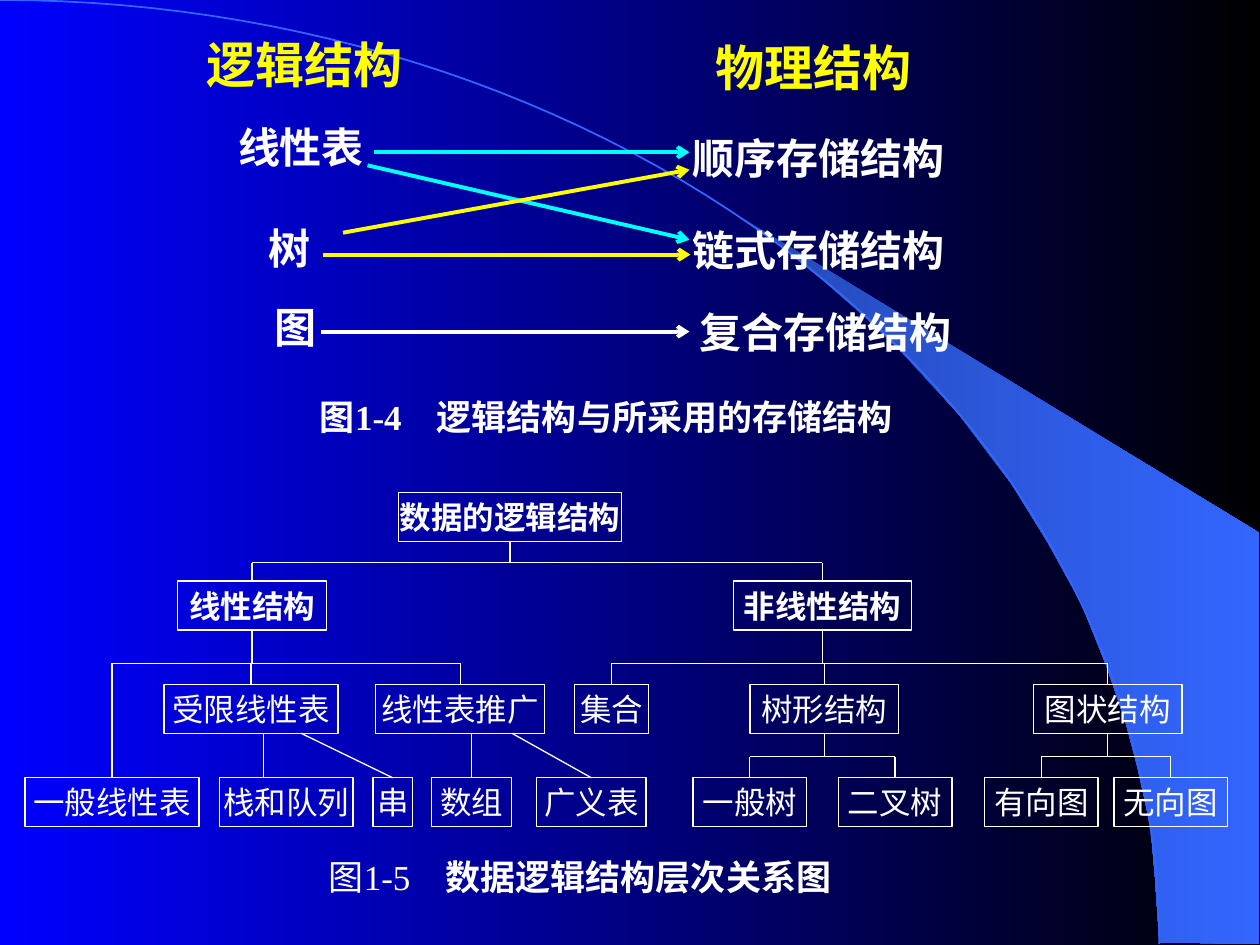
"""Build the slide on logical structures and the storage used for them."""
from math import cos, pi, sin

from lxml import etree
from pptx import Presentation
from pptx.dml.color import RGBColor
from pptx.enum import shapes, text
from pptx.oxml.ns import qn
from pptx.util import Pt

WHITE = RGBColor(0xFF, 0xFF, 0xFF)
YELLOW = RGBColor(0xFF, 0xFF, 0x00)
CYAN = RGBColor(0x00, 0xFF, 0xFF)
BLUE = RGBColor(0x00, 0x00, 0xFF)
BLACK = RGBColor(0x00, 0x00, 0x00)
NAVY = RGBColor(0x24, 0x49, 0xB6)
SKY = RGBColor(0x33, 0x66, 0xFF)
ROMAN = "Times New Roman"
SANS = "Noto Sans CJK SC"
TALL = 28

ROWS = (281.5, 332, 391, 444.5)
BOXES = [
    [("数据的逻辑结构", 291.5, 127.5)],
    [("线性结构", 144, 85), ("非线性结构", 470, 102)],
    [("受限线性表", 143.5, 99.5), ("线性表推广", 263, 96.5),
     ("集合", 349.5, 42.5), ("树形结构", 471, 85), ("图状结构", 633, 85)],
    [("一般线性表", 64, 99.5), ("栈和队列", 163.5, 76.5), ("串", 224.5, 22.5),
     ("数组", 269.5, 45.5), ("广义表", 338, 62.5), ("一般树", 428.5, 65),
     ("二叉树", 511.5, 65), ("有向图", 595, 65), ("无向图", 669, 65)],
]
FORKS = [
    ("数据的逻辑结构", 321.5, ("线性结构", "非线性结构")),
    ("线性结构", 379, ("一般线性表", "受限线性表", "线性表推广")),
    ("非线性结构", 379, ("集合", "树形结构", "图状结构")),
    ("树形结构", 432.5, ("一般树", "二叉树")),
    ("图状结构", 432.5, ("有向图", "无向图")),
]
LINKS = [
    (150.5, 419, 150.5, 444.5, None),
    (172, 419, 224.5, 444.5, "串"),
    (269.5, 419, 269.5, 444.5, "数组"),
    (292.5, 419, 338, 444.5, "广义表"),
]
LABELS = [
    ("逻辑结构", 114, 18.5, 120, 36, 28, YELLOW),
    ("物理结构", 408, 20, 114, 36, 28, YELLOW),
    ("线性表", 124, 69, 96, 30, 24, WHITE),
    ("树", 135.5, 126.5, 60, 30, 24, WHITE),
    ("图", 142, 171.5, 54, 30, 24, WHITE),
    ("顺序存储结构", 396, 72, 144, 36, 24, WHITE),
    ("链式存储结构", 396, 124.5, 144, 36, 24, WHITE),
    ("复合存储结构", 399.5, 171.5, 144, 36, 24, WHITE),
]
ARROWS = [
    (214, 87, 394, 87, CYAN),
    (210, 94.5, 394, 137, CYAN),
    (196, 133, 394, 97, YELLOW),
    (183.5, 189.5, 394, 189.5, WHITE),
    (184.5, 145.5, 394.5, 145.5, YELLOW),
]
BEAM = [
    (662.5, 538.5), (719.5, 539.5), (719.5, 304.5), (424, 124.5),
    (449.5, 143.5), (470, 160), (493, 180), (515.5, 201.5), (548.5, 237.5),
    (578, 276.5), (599, 310.5), (618, 345), (632, 380), (643, 412),
    (650, 438.5), (657.5, 472.5), (660, 501), (662.5, 538.5),
]


def grade(fill, first, last):
    """Fill with a left-to-right gradient."""
    fill.gradient()
    fill.gradient_angle = 0
    for stop, color in zip(fill.gradient_stops, (first, last)):
        stop.color.rgb = color


def trace(slide, points, close):
    """Draw an outline through the points."""
    spots = [(Pt(x), Pt(y)) for x, y in points]
    form = slide.shapes.build_freeform(*spots[0])
    form.add_line_segments(spots[1:], close=close)
    shape = form.convert_to_shape()
    shape.shadow.inherit = False
    return shape


def scene(slide):
    """Draw the backdrop, the beam and the arc."""
    grade(slide.background.fill, BLUE, BLACK)
    beam = trace(slide, BEAM, True)
    grade(beam.fill, NAVY, SKY)
    beam.line.fill.background()
    turns = [pi / 2 * step / 60 for step in range(61)]
    arc = trace(slide, [(662.5 * sin(t), 539.5 * (1 - cos(t))) for t in turns], False)
    arc.fill.background()
    arc.line.color.rgb = SKY
    arc.line.width = Pt(1)


def write(shape, runs, size, color, wrap=False, inset=(0, 0)):
    """Write runs of (words, font, bold) centred in a shape."""
    frame = shape.text_frame
    frame.word_wrap = wrap
    frame.vertical_anchor = text.MSO_ANCHOR.MIDDLE
    frame.margin_left = frame.margin_right = Pt(inset[0])
    frame.margin_top = frame.margin_bottom = Pt(inset[1])
    para = frame.paragraphs[0]
    para.alignment = text.PP_ALIGN.CENTER
    for words, face, bold in runs:
        run = para.add_run()
        run.text = words
        font = run.font
        font.name, font.size, font.bold = face, Pt(size), bold
        font.color.rgb = color
        east = etree.SubElement(run._r.get_or_add_rPr(), qn("a:ea"))
        east.set("typeface", SANS)


def label(slide, runs, spot, size, color, **style):
    """Add a text box."""
    box = slide.shapes.add_textbox(*map(Pt, spot))
    write(box, runs, size, color, **style)


def node(slide, words, mid, top, wide, bold):
    """Add an outlined box centred on mid."""
    box = slide.shapes.add_shape(
        shapes.MSO_SHAPE.RECTANGLE, Pt(mid - wide / 2), Pt(top), Pt(wide), Pt(TALL))
    box.shadow.inherit = False
    box.fill.background()
    box.line.color.rgb = WHITE
    box.line.width = Pt(0.75)
    write(box, [(words, ROMAN, bold)], 18, WHITE)
    return box


def line(slide, ends, color=WHITE, width=0.75, arrow=False):
    """Add a straight line, with an arrowhead on request."""
    link = slide.shapes.add_connector(shapes.MSO_CONNECTOR.STRAIGHT, *map(Pt, ends))
    link.line.color.rgb = color
    link.line.width = Pt(width)
    if arrow:
        etree.SubElement(link.line._get_or_add_ln(), qn("a:tailEnd")).set("type", "arrow")
    etree.SubElement(link._element.spPr, qn("a:effectLst"))
    return link


def fork(slide, root, level, kids):
    """Join a box to the boxes below it through a level bar."""
    def mid(box):
        return (box.left + box.width / 2) / Pt(1)

    stem = line(slide, (mid(root), level - 1, mid(root), level))
    stem.begin_connect(root, 2)
    line(slide, (mid(kids[0]), level, mid(kids[-1]), level))
    for kid in kids:
        drop = line(slide, (mid(kid), level, mid(kid), level + 1))
        drop.end_connect(kid, 0)


def main():
    """Build and save the slide."""
    deck = Presentation()
    deck.slide_width, deck.slide_height = Pt(720), Pt(540)
    slide = deck.slides.add_slide(deck.slide_layouts[6])
    scene(slide)
    nodes = {}
    for row, (top, boxes) in enumerate(zip(ROWS, BOXES)):
        for words, mid, wide in boxes:
            nodes[words] = node(slide, words, mid, top, wide, row < 2)
    for root, level, kids in FORKS:
        fork(slide, nodes[root], level, [nodes[kid] for kid in kids])
    for *ends, kid in LINKS:
        link = line(slide, ends)
        if kid:
            link.end_connect(nodes[kid], 0)
    for words, *spot, size, color in LABELS:
        label(slide, [(words, ROMAN, True)], spot, size, color)
    for number, title, bold, spot in (
            ("1-4　", "逻辑结构与所采用的存储结构", True, (166.5, 223, 360, 30)),
            ("1-5　", "数据逻辑结构层次关系图", False, (165.5, 483, 332, 36))):
        runs = [("图", SANS, bold), (number, ROMAN, bold), (title, SANS, True)]
        label(slide, runs, spot, 20, WHITE, wrap=True, inset=(7.2, 3.6))
    for *ends, color in ARROWS:
        line(slide, ends, color, 2.25, True)
    deck.save("out.pptx")


if __name__ == "__main__":
    main()
